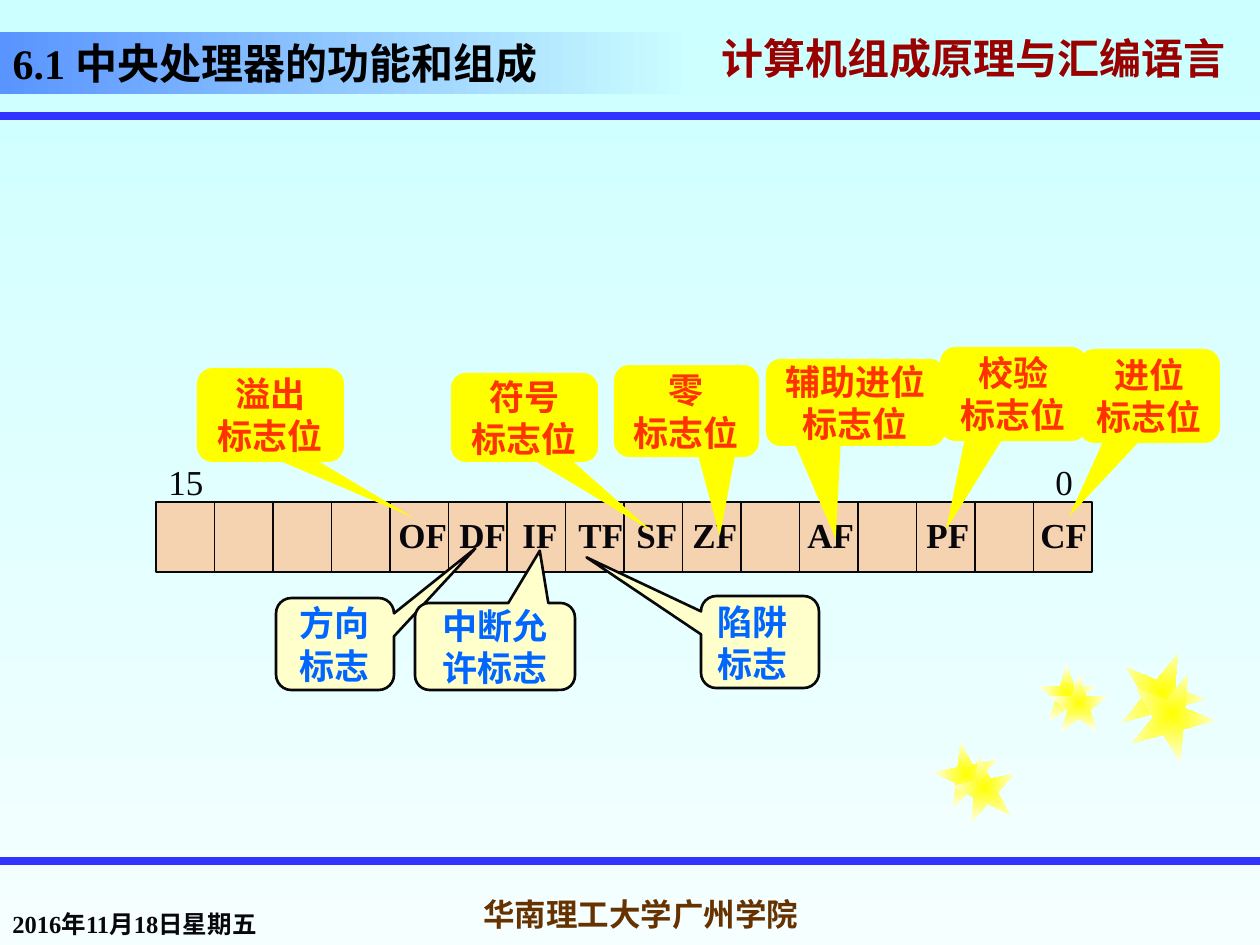
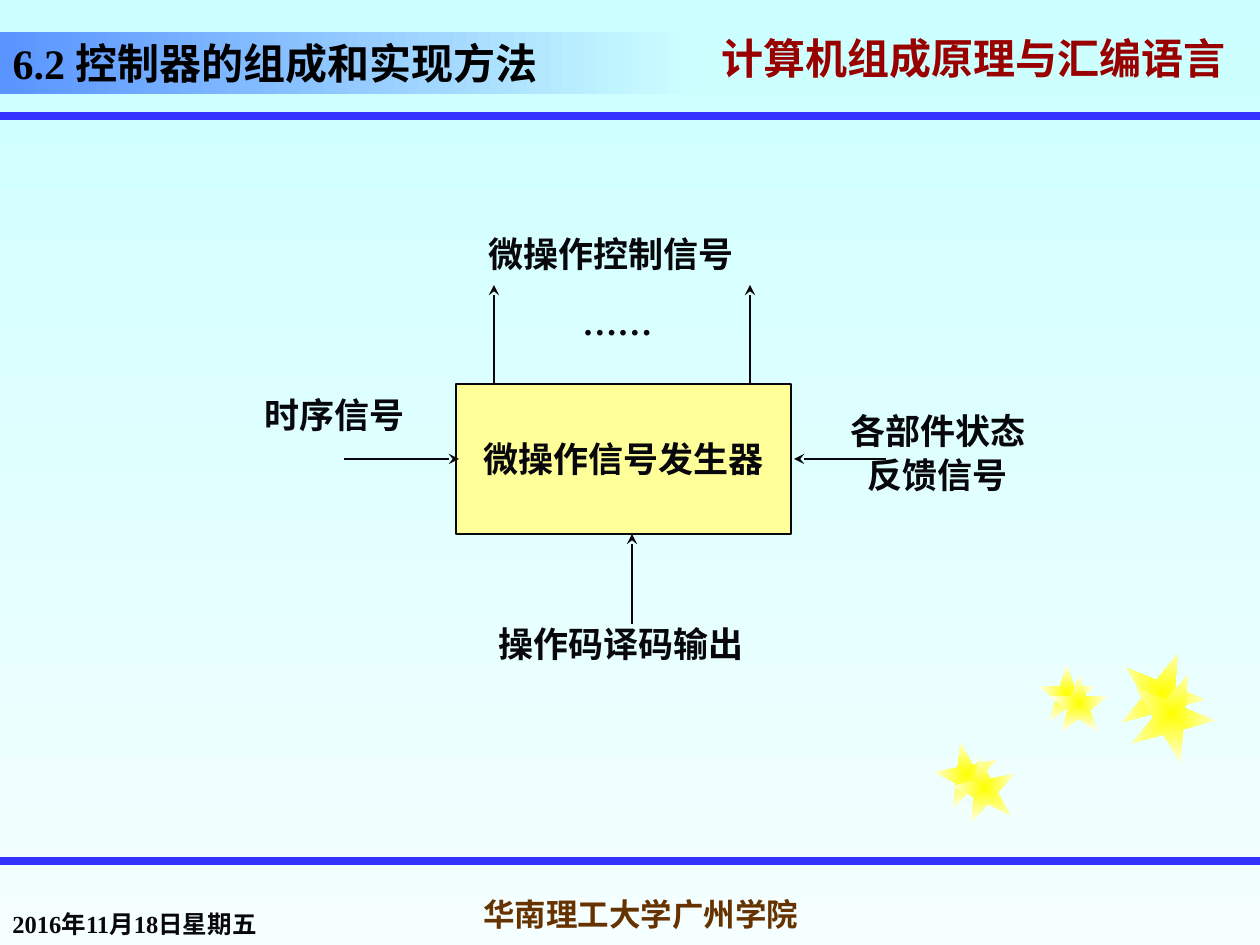
from dataclasses import dataclass

from lxml import etree
from pptx import Presentation
from pptx.dml.color import RGBColor
from pptx.enum.shapes import MSO_CONNECTOR, MSO_SHAPE
from pptx.enum.text import MSO_ANCHOR, MSO_AUTO_SIZE, PP_ALIGN
from pptx.oxml.ns import qn
from pptx.util import Pt

PX = 914400 / 126
STRAIGHT = MSO_CONNECTOR.STRAIGHT
RECTANGLE, STAR = MSO_SHAPE.RECTANGLE, MSO_SHAPE.STAR_5_POINT
CALLOUT = MSO_SHAPE.ROUNDED_RECTANGULAR_CALLOUT
LEFT, CENTER = PP_ALIGN.LEFT, PP_ALIGN.CENTER
TOP, MIDDLE, BOTTOM = MSO_ANCHOR.TOP, MSO_ANCHOR.MIDDLE, MSO_ANCHOR.BOTTOM
NO_AUTOFIT = MSO_AUTO_SIZE.NONE


@dataclass(frozen=True)
class Theme:
    latin: str = "Times New Roman"
    chinese: str = "Noto Sans CJK SC"
    title_size: int = 24
    body_size: int = 20
    school_size: int = 18
    date_size: int = 14
    ink: str = "08080C"
    title: str = "000000"
    course: str = "990000"
    school: str = "663300"
    rule: str = "3333FF"
    background: tuple = ("CCFFFF", "F5FFFF")
    title_band: tuple = ("5994FF", "CCFFFF")
    star: tuple = ("FFFF00", "FFFFF5")
    register: str = "F6D3B0"
    generator: str = "FFFF99"
    status_fill: str = "FFFF00"
    status_text: str = "FF3300"
    control_fill: str = "FFFFCC"
    control_text: str = "0066FF"


theme = Theme()


def write_text(shape, text, size=theme.body_size, color=theme.ink, align=LEFT,
               anchor=TOP, wrap=True, bold=True, font=theme.latin):
    frame = shape.text_frame
    frame.text = text
    frame.auto_size = NO_AUTOFIT
    frame.word_wrap = wrap
    frame.vertical_anchor = anchor
    for paragraph in frame.paragraphs:
        paragraph.alignment = align
        for run in paragraph.runs:
            run.font.name = font
            run.font.size = Pt(size)
            run.font.bold = bold
            run.font.color.rgb = RGBColor.from_string(color)
            east_asian = etree.SubElement(run.font._element, qn("a:ea"))
            east_asian.set("typeface", theme.chinese)
    return frame


def draw_line(slide, points, color=theme.ink, width=0.75, arrow=False):
    line = slide.shapes.add_connector(STRAIGHT, *(round(v * PX) for v in points))
    line.line.color.rgb = RGBColor.from_string(color)
    line.line.width = Pt(width)
    if arrow:
        etree.SubElement(line.line._get_or_add_ln(), qn("a:tailEnd")).set("type", "stealth")
    etree.SubElement(line._element.spPr, qn("a:effectLst"))
    return line


presentation = Presentation()
presentation.slide_width = round(1260 * PX)
presentation.slide_height = round(945 * PX)
layout = presentation.slide_layouts[5]
flags_slide = presentation.slides.add_slide(layout)
control_slide = presentation.slides.add_slide(layout)

gradients = [(presentation.slide_master.background.fill, theme.background, 270)]

course = flags_slide.shapes.add_textbox(*(round(v * PX) for v in (709, 32, 551, 63)))
course_frame = write_text(course, "计算机组成原理与汇编语言", theme.title_size,
                          theme.course, anchor=MIDDLE, font=theme.chinese)
course_frame.paragraphs[0].line_spacing = 0.7
properties = course_frame.paragraphs[0].runs[0].font._element
effects = etree.Element(qn("a:effectLst"))
text_shadow = etree.SubElement(effects, qn("a:outerShdw"), dist="38100", dir="2700000")
etree.SubElement(text_shadow, qn("a:srgbClr"), val="808080")
properties.find(qn("a:latin")).addprevious(effects)

shared_shapes = [course]
for y in (116, 861):
    shared_shapes.append(draw_line(flags_slide, (0, y, 1260, y), theme.rule, 4.5))

stars = [
    (935, 742, 63, 349), (1038, 664, 58, 0), (1120, 651, 84, 22),
    (953, 756, 63, 349), (1050, 674, 58, 0), (1130, 672, 84, 22),
]
for x, y, side, rotation in stars:
    star = flags_slide.shapes.add_shape(STAR, *(round(v * PX) for v in (x, y, side, side)))
    star.rotation = rotation
    star.shadow.inherit = False
    star.line.fill.background()
    gradients.append((star.fill, theme.star, None))
    shared_shapes.append(star)

for shape in shared_shapes:
    layout.shapes._spTree.append(shape._element)

titles = [
    (flags_slide, "6.1 中央处理器的功能和组成"),
    (control_slide, "6.2 控制器的组成和实现方法"),
]
for slide, title_text in titles:
    title = slide.shapes.title
    title.left, title.top, title.width, title.height = (
        round(v * PX) for v in (0, 32, 693, 62))
    write_text(title, title_text, theme.title_size, theme.title, anchor=BOTTOM)
    gradients.append((title.fill, theme.title_band, 0))
    date = slide.shapes.add_textbox(*(round(v * PX) for v in (0, 882, 282, 63)))
    write_text(date, "2016年11月18日星期五", theme.date_size, anchor=BOTTOM)
    school = slide.shapes.add_textbox(*(round(v * PX) for v in (441, 882, 399, 63)))
    write_text(school, "华南理工大学广州学院", theme.school_size, theme.school,
               CENTER, MIDDLE, wrap=False)

for fill, colors, angle in gradients:
    fill.gradient()
    for stop, color in zip(fill.gradient_stops, colors):
        stop.color.rgb = RGBColor.from_string(color)
    for stop, position in zip(fill.gradient_stops, (0, 1)):
        stop.position = position
    if angle is None:
        linear = fill._fill._gradFill.find(qn("a:lin"))
        radial = etree.Element(qn("a:path"))
        radial.set("path", "shape")
        center = etree.SubElement(radial, qn("a:fillToRect"))
        for side in "ltrb":
            center.set(side, "50000")
        linear.getparent().replace(linear, radial)
    else:
        fill.gradient_angle = angle

boxes = [
    (flags_slide, (156, 502, 936, 70), theme.register, ""),
    (control_slide, (456, 384, 335, 150), theme.generator, "微操作信号发生器"),
]
for slide, box, color, text in boxes:
    rectangle = slide.shapes.add_shape(RECTANGLE, *(round(v * PX) for v in box))
    rectangle.shadow.inherit = False
    rectangle.fill.solid()
    rectangle.fill.fore_color.rgb = RGBColor.from_string(color)
    rectangle.line.color.rgb = RGBColor.from_string(theme.ink)
    rectangle.line.width = Pt(0.75)
    if text:
        write_text(rectangle, text, align=CENTER, anchor=MIDDLE, wrap=False)

for bit in range(1, 16):
    x = 156 + 936 * bit / 16
    draw_line(flags_slide, (x, 502, x, 572))

labels = [
    (flags_slide, "CF", 1028, 507, 97), (flags_slide, "PF", 914, 507, 97),
    (flags_slide, "AF", 795, 507, 97), (flags_slide, "ZF", 680, 507, 97),
    (flags_slide, "SF", 624, 507, 97), (flags_slide, "TF", 566, 507, 97),
    (flags_slide, "IF", 510, 507, 97), (flags_slide, "DF", 447, 507, 97),
    (flags_slide, "OF", 386, 507, 97),
    (flags_slide, "0", 1043, 454, 164), (flags_slide, "15", 156, 454, 164),
    (control_slide, "操作码译码输出", 486, 616, 389),
    (control_slide, "微操作控制信号", 476, 226, 367),
    (control_slide, "时序信号", 252, 387, 252),
    (control_slide, "……", 570, 294, 344),
]
for slide, text, x, y, width in labels:
    label = slide.shapes.add_textbox(*(round(v * PX) for v in (x, y, width, 54)))
    write_text(label, text, bold=not text.isdigit())

status_style = (theme.status_fill, theme.status_text, None)
control_style = (theme.control_fill, theme.control_text, theme.ink)
callouts = [
    ("溢出\n标志位", (197, 368, 147, 94), (0.97, 1.09), CENTER, status_style),
    ("符号\n标志位", (451, 373, 147, 89), (0.86, 1.27), CENTER, status_style),
    ("零\n标志位", (614, 365, 145, 92), (0.23, 1.36), CENTER, status_style),
    ("辅助进位\n标志位", (766, 359, 179, 87), (-0.11, 1.57), CENTER, status_style),
    ("校验\n标志位", (940, 347, 147, 94), (-0.46, 1.45), CENTER, status_style),
    ("进位\n标志位", (1079, 349, 141, 94), (-0.57, 1.28), CENTER, status_style),
    ("方向\n标志", (276, 598, 118, 92), (1.19, -1.04), CENTER, control_style),
    ("中断允许标志", (415, 603, 160, 87), (0.28, -1.1), CENTER, control_style),
    ("陷阱标志", (701, 596, 118, 92), (-1.47, -0.92), LEFT, control_style),
]
for text, box, tip, align, (fill_color, text_color, line_color) in callouts:
    callout = flags_slide.shapes.add_shape(CALLOUT, *(round(v * PX) for v in box))
    callout.adjustments[0], callout.adjustments[1] = tip
    callout.shadow.inherit = False
    callout.fill.solid()
    callout.fill.fore_color.rgb = RGBColor.from_string(fill_color)
    if line_color:
        callout.line.color.rgb = RGBColor.from_string(line_color)
        callout.line.width = Pt(1.5)
    else:
        callout.line.fill.background()
    write_text(callout, text, color=text_color, align=align, anchor=MIDDLE,
               font=theme.chinese)

feedback = control_slide.shapes.add_textbox(*(round(v * PX) for v in (838, 403, 297, 106)))
feedback_frame = write_text(feedback, "各部件状态\n反馈信号")
second_line = feedback_frame.paragraphs[1]
second_line.line_spacing = 0.7
second_line.space_before = Pt(8)
second_line._p.get_or_add_pPr().set("marL", str(round(17 * PX)))

signals = [
    (344, 459, 459, 459), (886, 459, 794, 459), (632, 624, 632, 534),
    (750, 384, 750, 285), (494, 384, 494, 285),
]
for points in signals:
    draw_line(control_slide, points, arrow=True)

presentation.save("out.pptx")
